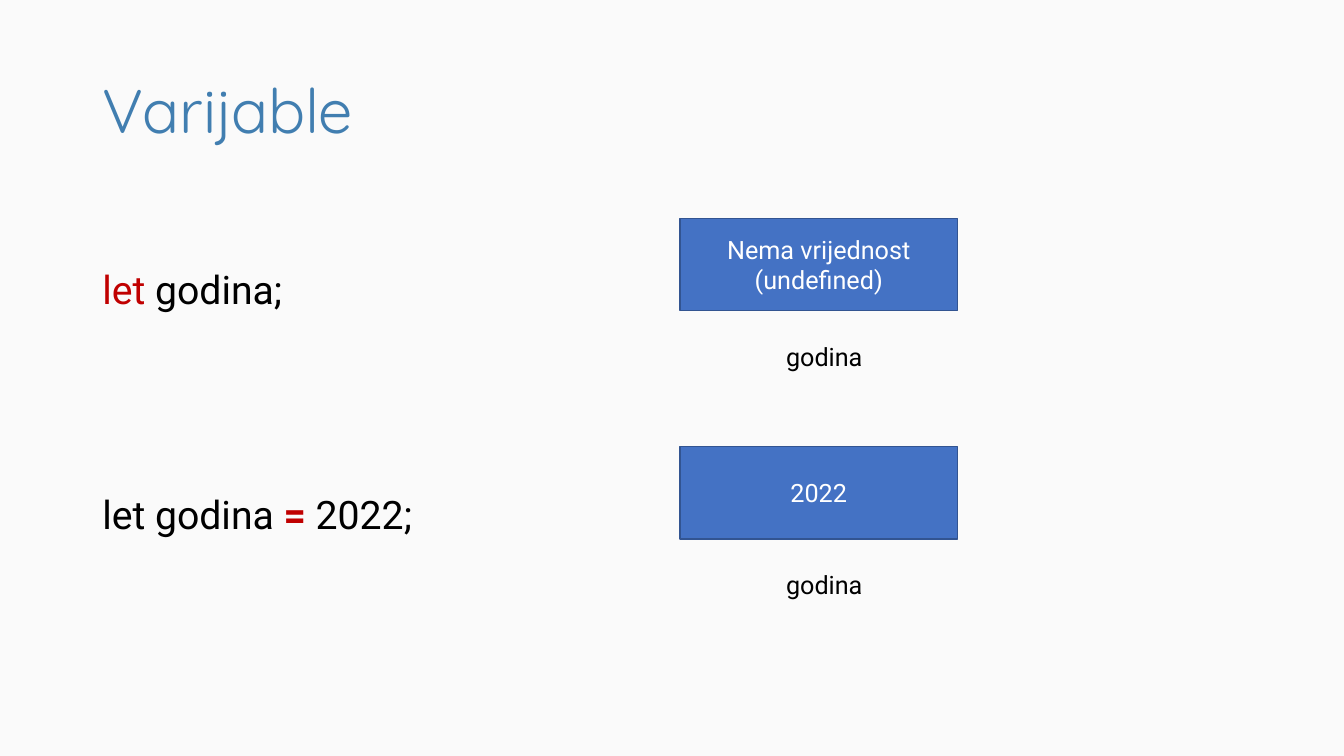
from dataclasses import dataclass

from pptx import Presentation
from pptx.dml.color import RGBColor as Rgb
from pptx.enum.shapes import MSO_SHAPE as Shape
from pptx.enum.text import MSO_ANCHOR as Anchor, PP_ALIGN as Align
from pptx.util import Cm, Pt


@dataclass(frozen=True)
class Theme:
    paper: str = "FAFAFA"
    title: str = "417EB0"
    ink: str = "000000"
    accent: str = "C00000"
    light: str = "FFFFFF"
    fill: str = "4472C4"
    edge: str = "325491"
    head_font: str = "Quicksand"
    body_font: str = "Roboto"
    head_size: int = 44
    code_size: int = 28
    note_size: int = 18


class Page:
    def __init__(self, slide, theme):
        self.slide, self.theme = slide, theme
        back = slide.background.fill
        back.solid()
        back.fore_color.rgb = Rgb.from_string(theme.paper)

    def style(self, run, size, color, face=None, bold=False):
        font = run.font
        font.name = face or self.theme.body_font
        font.size = Pt(size)
        font.bold = bold
        font.color.rgb = Rgb.from_string(color)

    def frame(self, left, top, width, height, wrap=True):
        box = self.slide.shapes.add_textbox(Cm(left), Cm(top), Cm(width), Cm(height))
        frame = box.text_frame
        frame.word_wrap = wrap
        frame.vertical_anchor = Anchor.MIDDLE
        return frame

    def title(self, text, left, top, width, height):
        theme = self.theme
        para = self.frame(left, top, width, height).paragraphs[0]
        para.text = text
        para.line_spacing = 0.9
        self.style(para.runs[0], theme.head_size, theme.title, theme.head_font)

    def code(self, parts, left, top, width, height):
        """Write one line of code from (text, color, bold) parts."""
        para = self.frame(left, top, width, height).paragraphs[0]
        for text, color, bold in parts:
            run = para.add_run()
            run.text = text
            self.style(run, self.theme.code_size, color, bold=bold)

    def value(self, text, left, top, width, height):
        theme = self.theme
        box = self.slide.shapes.add_shape(
            Shape.RECTANGLE, Cm(left), Cm(top), Cm(width), Cm(height))
        box.shadow.inherit = False
        box.fill.solid()
        box.fill.fore_color.rgb = Rgb.from_string(theme.fill)
        box.line.color.rgb = Rgb.from_string(theme.edge)
        box.line.width = Pt(1)
        frame = box.text_frame
        frame.text = text
        frame.word_wrap = True
        frame.vertical_anchor = Anchor.MIDDLE
        para = frame.paragraphs[0]
        para.alignment = Align.CENTER
        self.style(para.runs[0], theme.note_size, theme.light)

    def label(self, text, left, top, width, height):
        frame = self.frame(left, top, width, height, wrap=False)
        frame.text = text
        self.style(frame.paragraphs[0].runs[0], self.theme.note_size, self.theme.ink)


def main():
    deck = Presentation()
    deck.slide_width, deck.slide_height = Cm(33.87), Cm(19.05)
    theme = Theme()
    page = Page(deck.slides.add_slide(deck.slide_layouts[6]), theme)
    page.title("Varijable", 2.33, 1.01, 29.21, 3.68)

    rows = [
        ([("let", theme.accent, False), (" godina;", theme.ink, False)],
         "Nema vrijednost (undefined)"),
        ([("let godina ", theme.ink, False), ("=", theme.accent, True),
          (" 2022;", theme.ink, False)],
         "2022"),
    ]
    for i, (parts, value) in enumerate(rows):
        drop = 5.75 * i
        page.code(parts, 2.33, 6.52 + 5.67 * i, 13, 1.5)
        page.value(value, 17.14, 5.5 + drop, 6.99, 2.33)
        page.label("godina", 19.56, 8.47 + drop, 2.49, 1.03)

    deck.save("out.pptx")


if __name__ == "__main__":
    main()
